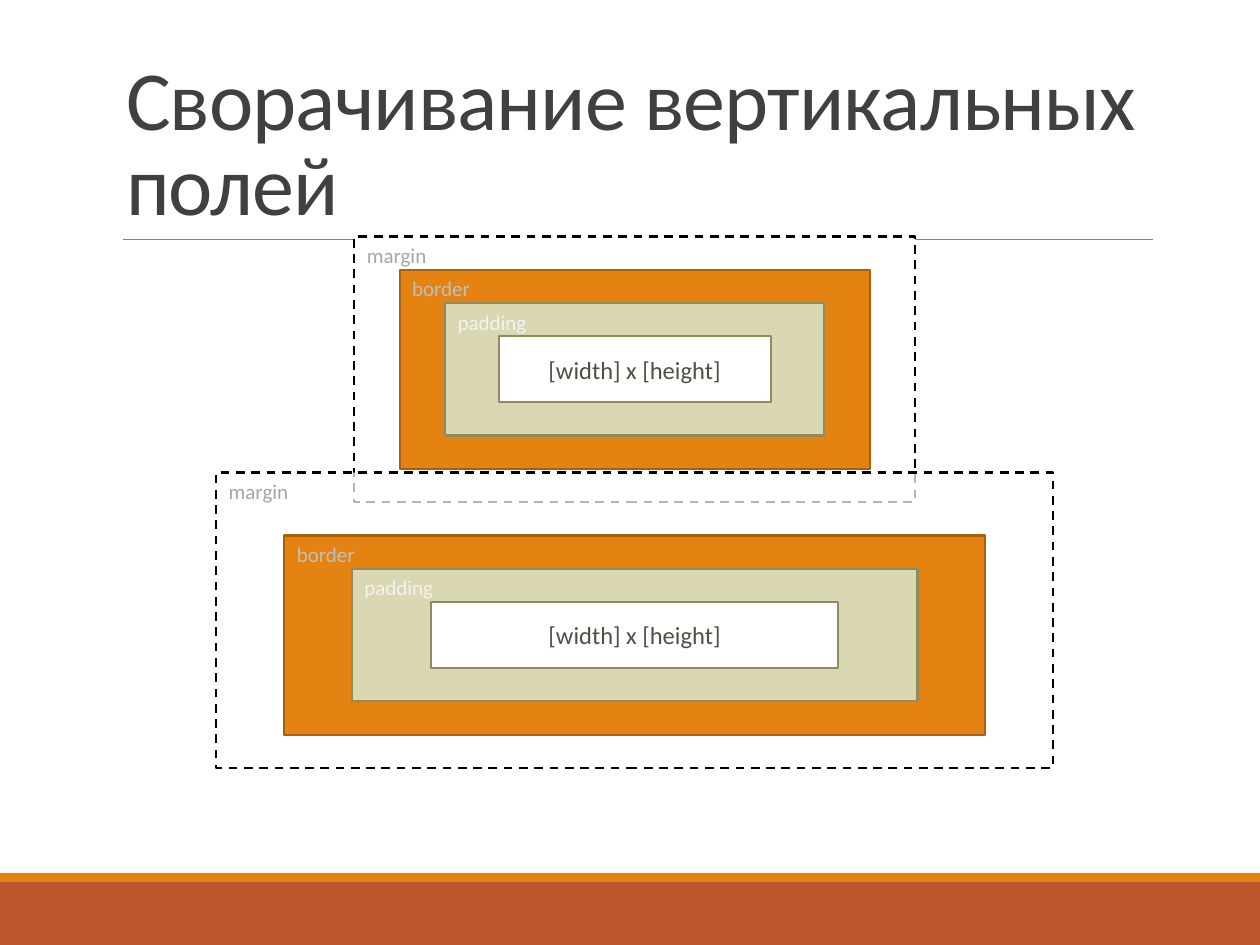
from dataclasses import dataclass

from lxml import etree
from pptx import Presentation
from pptx.dml.color import RGBColor
from pptx.enum.dml import MSO_LINE
from pptx.enum.shapes import MSO_CONNECTOR, MSO_SHAPE
from pptx.enum.text import MSO_ANCHOR, MSO_AUTO_SIZE, PP_ALIGN
from pptx.oxml.ns import qn
from pptx.util import Pt

RECTANGLE = MSO_SHAPE.RECTANGLE
STRAIGHT = MSO_CONNECTOR.STRAIGHT
DASH = MSO_LINE.DASH
TOP, MIDDLE, BOTTOM = MSO_ANCHOR.TOP, MSO_ANCHOR.MIDDLE, MSO_ANCHOR.BOTTOM
LEFT, CENTER = PP_ALIGN.LEFT, PP_ALIGN.CENTER
NO_AUTOFIT = MSO_AUTO_SIZE.NONE


@dataclass(frozen=True)
class Theme:
    font: str = "Calibri"
    title_size: float = 48
    label_size: float = 12
    content_size: float = 14
    outline: float = 1.25
    title: str = "404040"
    rule: str = "808080"
    footer: str = "BD582C"
    orange: str = "E48312"
    orange_line: str = "A9610D"
    olive: str = "DAD7B3"
    olive_line: str = "908B5F"
    white: str = "FFFFFF"
    black: str = "000000"
    margin_text: str = "A6A6A6"
    border_text: str = "BFBFBF"
    padding_text: str = "F2F2F2"
    content_text: str = "4A5242"


THEME = Theme()
SLIDE_WIDTH, SLIDE_HEIGHT = 720, 540
CENTER_X = 362.7
LAYER_STEP = 19
BORDER_HEIGHT = 113.8


@dataclass(frozen=True)
class Layer:
    text: str
    fill: str
    line: str
    text_color: str
    dashed: bool = False
    is_content: bool = False


LAYERS = (
    Layer("margin", THEME.white, THEME.black, THEME.margin_text, dashed=True),
    Layer("border", THEME.orange, THEME.orange_line, THEME.border_text),
    Layer("padding", THEME.olive, THEME.olive_line, THEME.padding_text),
    Layer("[width] x [height]", THEME.white, THEME.olive_line,
          THEME.content_text, is_content=True),
)


@dataclass(frozen=True)
class BoxModel:
    border_top: float
    margin_above: float
    widths: tuple[float, ...]
    margin_opacity: int = 100


BOX_MODELS = (
    BoxModel(154.1, LAYER_STEP, (320.4, 268.6, 216.7, 155.5)),
    BoxModel(306, 36, (478.1, 400.3, 323.3, 232.6), margin_opacity=71),
)


def color(value: str) -> RGBColor:
    return RGBColor.from_string(value)


def add_rectangle(shapes, left: float, top: float, width: float,
                  height: float, fill: str):
    shape = shapes.add_shape(RECTANGLE, Pt(left), Pt(top), Pt(width), Pt(height))
    shape.shadow.inherit = False
    shape.fill.solid()
    shape.fill.fore_color.rgb = color(fill)
    shape.line.fill.background()
    return shape


def format_text(text_frame, size: float, text_color: str) -> None:
    for paragraph in text_frame.paragraphs:
        for run in paragraph.runs:
            run.font.name = THEME.font
            run.font.size = Pt(size)
            run.font.color.rgb = color(text_color)


def set_opacity(shape, percent: int) -> None:
    fill_color = shape.fill._xPr.find(f"{qn('a:solidFill')}/{qn('a:srgbClr')}")
    etree.SubElement(fill_color, qn("a:alpha"), val=str(percent * 1000))


def add_layer(shapes, layer: Layer, top: float, width: float, height: float):
    shape = add_rectangle(shapes, CENTER_X - width / 2, top, width, height, layer.fill)
    shape.line.color.rgb = color(layer.line)
    shape.line.width = Pt(THEME.outline)
    if layer.dashed:
        shape.line.dash_style = DASH
    text_frame = shape.text_frame
    text_frame.text = layer.text
    text_frame.word_wrap = True
    text_frame.vertical_anchor = MIDDLE if layer.is_content else TOP
    text_frame.paragraphs[0].alignment = CENTER if layer.is_content else LEFT
    size = THEME.content_size if layer.is_content else THEME.label_size
    format_text(text_frame, size, layer.text_color)
    return shape


def add_box_model(slide, box: BoxModel) -> None:
    """Nest the four layers: each inner one is a step smaller on every side."""
    shapes = slide.shapes.add_group_shape().shapes
    margin, *inner_layers = LAYERS
    margin_shape = add_layer(
        shapes, margin, box.border_top - box.margin_above, box.widths[0],
        box.margin_above + BORDER_HEIGHT + LAYER_STEP)
    if box.margin_opacity < 100:
        set_opacity(margin_shape, box.margin_opacity)
    for depth, (layer, width) in enumerate(zip(inner_layers, box.widths[1:])):
        inset = depth * LAYER_STEP
        add_layer(shapes, layer, box.border_top + inset, width,
                  BORDER_HEIGHT - 2 * inset)


def add_decoration(slide) -> None:
    add_rectangle(slide.shapes, 0, 504, SLIDE_WIDTH, 36, THEME.footer)
    add_rectangle(slide.shapes, 0, 499, SLIDE_WIDTH, 5, THEME.orange)
    rule = slide.shapes.add_connector(STRAIGHT, Pt(70.5), Pt(136.8), Pt(658.8), Pt(136.8))
    rule.line.color.rgb = color(THEME.rule)
    rule.line.width = Pt(0.5)
    etree.SubElement(rule._element.spPr, qn("a:effectLst"))


def set_title(slide, text: str) -> None:
    title = slide.shapes.title
    title.left, title.top, title.width, title.height = (
        Pt(64.8), Pt(22.3), Pt(594), Pt(114.5))
    text_frame = title.text_frame
    text_frame.text = text
    text_frame.word_wrap = True
    text_frame.auto_size = NO_AUTOFIT
    text_frame.vertical_anchor = BOTTOM
    paragraph = text_frame.paragraphs[0]
    paragraph.alignment = LEFT
    paragraph.line_spacing = 0.85
    format_text(text_frame, THEME.title_size, THEME.title)
    paragraph.runs[0]._r.get_or_add_rPr().set("spc", "-50")


def main() -> None:
    presentation = Presentation()
    presentation.slide_width = Pt(SLIDE_WIDTH)
    presentation.slide_height = Pt(SLIDE_HEIGHT)
    slide = presentation.slides.add_slide(presentation.slide_layouts[5])
    add_decoration(slide)
    set_title(slide, "Сворачивание вертикальных полей")
    for box in BOX_MODELS:
        add_box_model(slide, box)
    presentation.save("out.pptx")


if __name__ == "__main__":
    main()
